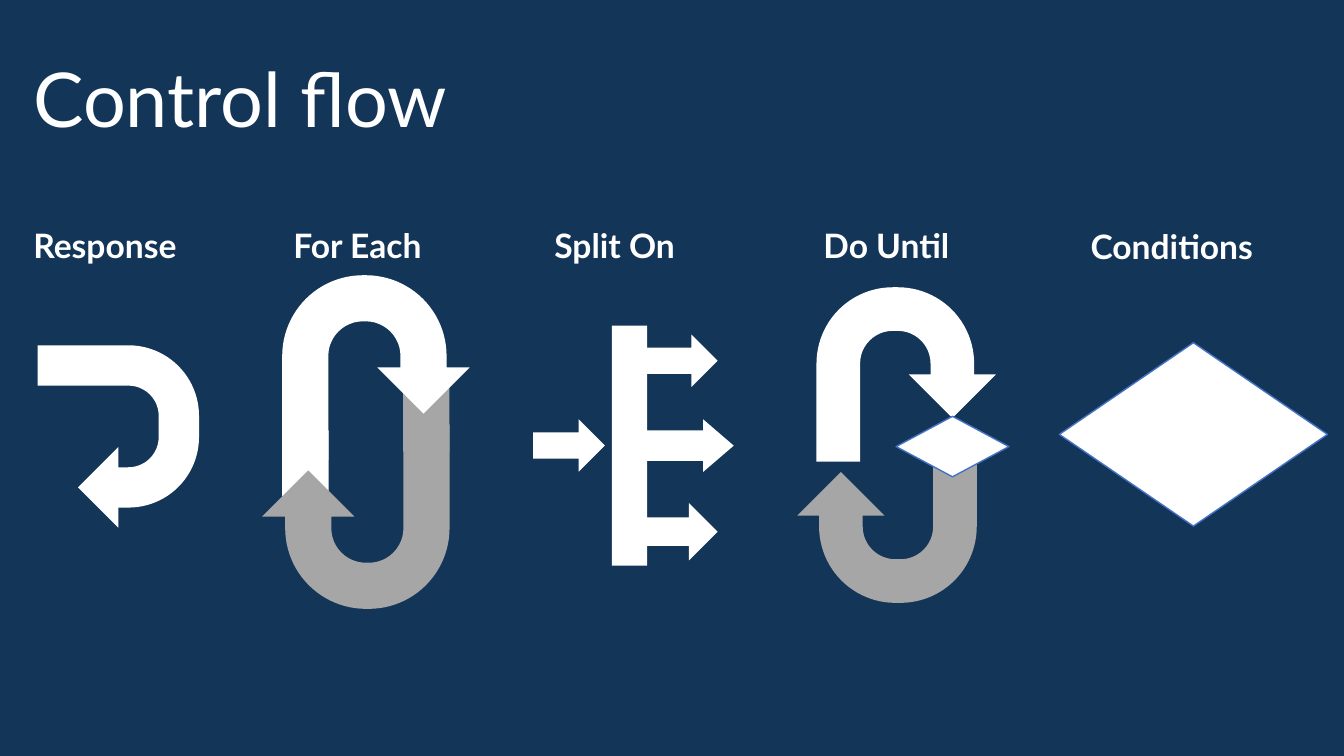
import pptx
import pptx.util
import pptx.dml.color
import pptx.enum.shapes
import pptx.enum.text

Pt = pptx.util.Pt
SHAPE = pptx.enum.shapes.MSO_SHAPE
ANCHOR = pptx.enum.text.MSO_ANCHOR
AUTO_SIZE = pptx.enum.text.MSO_AUTO_SIZE

COLORS = {"navy": "133558", "white": "FFFFFF", "gray": "A6A6A6", "blue": "4472C4"}
FONT = "Lato"


def rgb(name):
    return pptx.dml.color.RGBColor.from_string(COLORS[name])


def place(sp, left, top, width, height):
    sp.left, sp.top, sp.width, sp.height = Pt(left), Pt(top), Pt(width), Pt(height)


def write(tf, text, size, bold=False):
    tf.word_wrap = True
    tf.text = text
    p = tf.paragraphs[0]
    p.line_spacing = 0.9
    r = p.runs[0]
    r.font.name = FONT
    r.font.size = Pt(size)
    r.font.bold = bold
    r.font.color.rgb = rgb("white")
    return p


def add_title(s, text):
    sp = s.shapes.title
    place(sp, 16.6, 53.3, 543.6, 41)
    tf = sp.text_frame
    tf.auto_size = AUTO_SIZE.NONE
    tf.vertical_anchor = ANCHOR.MIDDLE
    p = write(tf, text, 54)
    p.alignment = pptx.enum.text.PP_ALIGN.LEFT


def add_label(s, text, left, top=152.6, width=146.9):
    tf = s.shapes.add_textbox(Pt(left), Pt(top), Pt(width), Pt(48.6)).text_frame
    tf.margin_left = tf.margin_right = Pt(14.4)
    tf.margin_top = tf.margin_bottom = Pt(11.5)
    p = write(tf, text, 24, bold=True)
    p.space_after = Pt(5.9)
    tf.auto_size = AUTO_SIZE.SHAPE_TO_FIT_TEXT


def add_symbol(shapes, kind, left, top, width, height, fill="white", line=None, rotation=0):
    sp = shapes.add_shape(kind, Pt(left), Pt(top), Pt(width), Pt(height))
    sp.shadow.inherit = False
    sp.rotation = rotation
    sp.fill.solid()
    sp.fill.fore_color.rgb = rgb(fill)
    if line:
        sp.line.color.rgb = rgb(line)
        sp.line.width = Pt(1)
    else:
        sp.line.fill.background()
    return sp


def add_loop(shapes, left, top, width, height, dx, dy):
    """A white U-turn and its gray return, shifted by dx and dy."""
    add_symbol(shapes, SHAPE.U_TURN_ARROW, left, top, width, height)
    add_symbol(shapes, SHAPE.U_TURN_ARROW, left + dx, top + dy, width, height,
               "gray", rotation=180)


def add_split(s):
    shapes = s.shapes.add_group_shape().shapes
    callout = add_symbol(shapes, SHAPE.RIGHT_ARROW_CALLOUT, 437, 232.6, 87.1, 171.4)
    for i, value in enumerate((0.25, 0.215, 0.25, 0.29)):
        callout.adjustments[i] = value
    for left, top, height in ((461.5, 239, 37.4), (461.5, 359.3, 41), (380.9, 299.5, 37.4)):
        add_symbol(shapes, SHAPE.RIGHT_ARROW, left, top, 51.1, height)


def add_for_each(s):
    shapes = s.shapes.add_group_shape().shapes
    add_symbol(shapes, SHAPE.RECTANGLE, 288, 275.8, 33.1, 46.8, "gray")
    add_symbol(shapes, SHAPE.RECTANGLE, 201.6, 307.4, 33.1, 46.8)
    add_loop(shapes, 201.6, 196.6, 133.9, 131.8, -14.4, 106.5)


def main():
    prs = pptx.Presentation()
    prs.slide_width, prs.slide_height = Pt(960), Pt(540)
    s = prs.slides.add_slide(prs.slide_layouts[5])
    s.background.fill.solid()
    s.background.fill.fore_color.rgb = rgb("navy")

    add_title(s, "Control flow")
    add_symbol(s.shapes, SHAPE.U_TURN_ARROW, 19.4, 254.2, 130.3, 115.2, rotation=90)
    add_split(s)
    add_loop(s.shapes.add_group_shape().shapes, 583.2, 205.2, 128.2, 124.6, -13.7, 100.8)
    add_symbol(s.shapes, SHAPE.DIAMOND, 756.7, 244.8, 191.5, 131, line="blue")
    add_for_each(s)

    for text, left in (("Response", 9.4), ("For Each", 195.1),
                       ("Split On", 381.6), ("Do Until", 573.8)):
        add_label(s, text, left)
    add_label(s, "Conditions", 764.6, 153.4, 161.3)
    add_symbol(s.shapes, SHAPE.DIAMOND, 640.1, 297.4, 80.6, 43.2, line="blue")
    prs.save("out.pptx")


if __name__ == "__main__":
    main()
